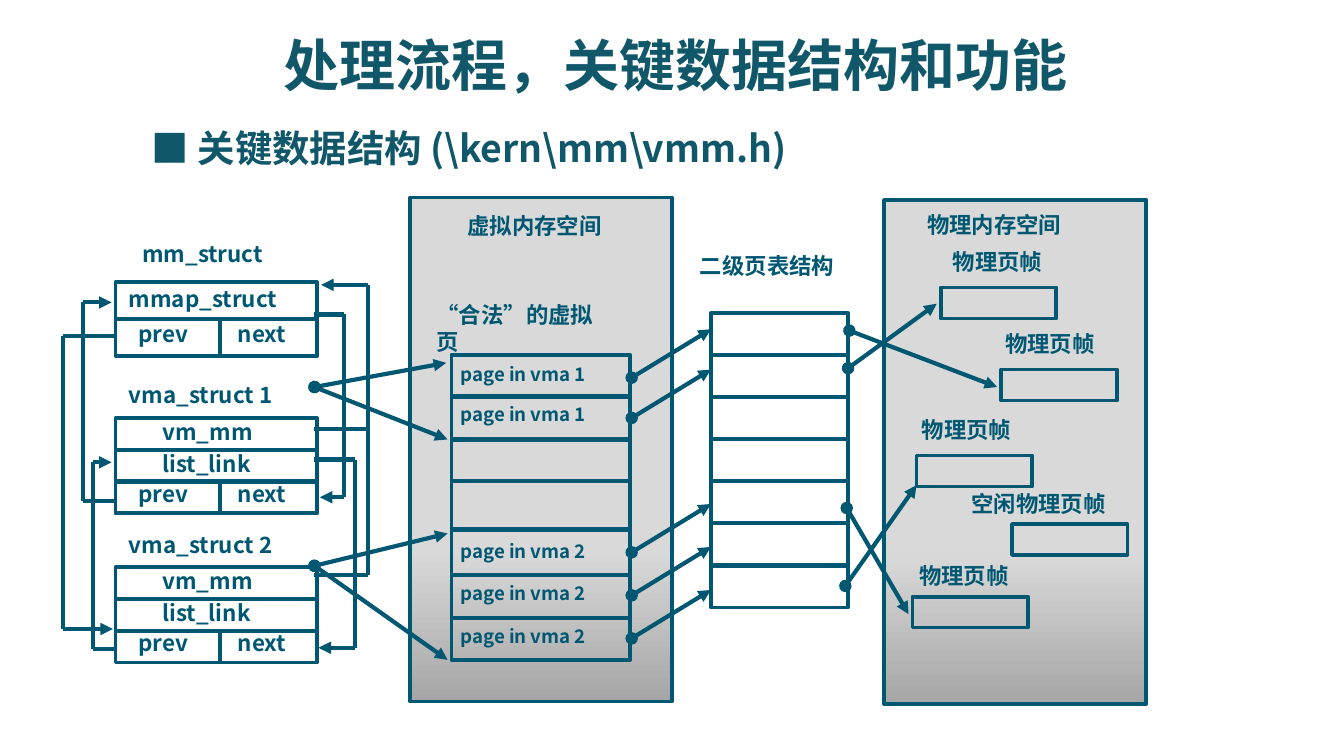
from lxml import etree
from pptx import Presentation
from pptx.dml.color import RGBColor
from pptx.enum.shapes import MSO_CONNECTOR, MSO_SHAPE
from pptx.enum.text import MSO_ANCHOR, MSO_AUTO_SIZE, PP_ALIGN
from pptx.oxml.ns import qn
from pptx.util import Inches, Pt

RECTANGLE = MSO_SHAPE.RECTANGLE
STRAIGHT = MSO_CONNECTOR.STRAIGHT
TOP, BOTTOM = MSO_ANCHOR.TOP, MSO_ANCHOR.BOTTOM
NO_AUTOFIT = MSO_AUTO_SIZE.NONE
LEFT, CENTER = PP_ALIGN.LEFT, PP_ALIGN.CENTER

TEAL = RGBColor(0x00, 0x57, 0x72)
HEADING = RGBColor(0x11, 0x57, 0x6A)
LIGHT_GREY = RGBColor(0xD9, 0xD9, 0xD9)
DARK_GREY = RGBColor(0xA6, 0xA6, 0xA6)
FONT, BULLET_FONT = "Noto Sans CJK SC", "Noto Sans CJK JP"


def add_text(para, text, size=12, color=TEAL, font=FONT):
    span = para.add_run()
    span.text = text
    span.font.size = Pt(size)
    span.font.bold = True
    span.font.color.rgb = color
    span.font.name = font
    etree.SubElement(span.font._element, qn("a:ea"), typeface=font)


def add_label(page, text, left, top, width, size=12):
    box = page.shapes.add_textbox(Inches(left), Inches(top), Inches(width), Inches(0.31))
    frame = box.text_frame
    frame.word_wrap = True
    frame.margin_right = 0
    add_text(frame.paragraphs[0], text, size=size)


def add_box(page, left, top, width, height, shaded=False):
    box = page.shapes.add_shape(RECTANGLE, Inches(left), Inches(top),
                                Inches(width), Inches(height))
    box.shadow.inherit = False
    box.line.color.rgb = TEAL
    box.line.width = Pt(2)
    if shaded:
        box.fill.gradient()
        box.fill.gradient_angle = 270
        for stop, position, color in zip(box.fill.gradient_stops, (0.7, 1),
                                         (LIGHT_GREY, DARK_GREY)):
            stop.position = position
            stop.color.rgb = color
    else:
        box.fill.background()


def add_line(page, start, end, dot=False, arrow=False):
    line = page.shapes.add_connector(STRAIGHT, *map(Inches, (*start, *end)))
    line.line.color.rgb = TEAL
    line.line.width = Pt(2.25)
    outline = line.line._get_or_add_ln()
    if dot:
        etree.SubElement(outline, qn("a:headEnd"), type="oval")
    if arrow:
        etree.SubElement(outline, qn("a:tailEnd"), type="triangle")
    etree.SubElement(line._element.spPr, qn("a:effectLst"))


def add_headings(page, left, top):
    title, body = page.shapes.title, page.placeholders[1]
    for holder, x, y, width, height, anchor, align in (
            (title, 0, 0, 8.7, 0.66, BOTTOM, CENTER),
            (body, 0.35, 0.76, 8.5, 0.47, TOP, LEFT)):
        holder.left, holder.top = Inches(left + x), Inches(top + y)
        holder.width, holder.height = Inches(width), Inches(height)
        holder.text_frame.auto_size = NO_AUTOFIT
        holder.text_frame.vertical_anchor = anchor
        holder.text_frame.paragraphs[0].alignment = align
    add_text(title.text_frame.paragraphs[0], "处理流程，关键数据结构和功能",
             size=30, color=HEADING)
    para = body.text_frame.paragraphs[0]
    para.space_before = Pt(0)
    properties = para._p.get_or_add_pPr()
    properties.set("marL", str(Inches(0.38)))
    properties.set("indent", str(-Inches(0.38)))
    etree.SubElement(properties, qn("a:buNone"))
    add_text(para, "■ ", size=20, color=HEADING, font=BULLET_FONT)
    add_text(para, "关键数据结构 (\\kern\\mm\\vmm.h)", size=20, color=HEADING)


def add_physical_memory(page, left, top):
    add_box(page, left, top, 1.95, 3.75, shaded=True)
    add_label(page, "物理内存空间", left + 0.22, top + 0.03, 1.2)
    # Frame position, then label position
    for x, y, label_x, label_y, text in (
            (0.42, 0.65, 0.41, 0.31, "物理页帧"),
            (0.87, 1.26, 0.8, 0.92, "物理页帧"),
            (0.24, 1.9, 0.18, 1.56, "物理页帧"),
            (0.95, 2.41, 0.55, 2.11, "空闲物理页帧"),
            (0.21, 2.95, 0.16, 2.64, "物理页帧")):
        add_box(page, left + x, top + y, 0.86, 0.23)
        add_label(page, text, left + label_x, top + label_y, 1.2)


def add_virtual_memory(page, left, top):
    add_box(page, left, top, 1.95, 3.75, shaded=True)
    add_label(page, "虚拟内存空间", left + 0.33, top + 0.06, 1.2)
    add_label(page, "“合法”的虚拟页", left + 0.1, top + 0.72, 1.4)
    add_box(page, left + 0.31, top + 1.17, 1.33, 2.27)
    for y in (1.48, 1.8, 2.11, 2.47, 2.81, 3.13):
        add_line(page, (left + 0.31, top + y), (left + 1.64, top + y))
    for y, area in ((1.18, 1), (1.48, 1), (2.5, 2), (2.81, 2), (3.13, 2)):
        add_label(page, f"page in vma {area}", left + 0.28, top + y, 1.27, size=10)


def add_page_table(page, left, top, rows=7):
    width, height = 1.02, 2.19
    add_label(page, "二级页表结构", left - 0.18, top - 0.5, 1.2)
    add_box(page, left, top, width, height)
    for row in range(1, rows):
        y = top + row * height / rows
        add_line(page, (left, y), (left + width, y))


def add_struct(page, left, top, height, name, fields, name_x=0, name_rise=0.32,
               field_x=0.25, text_rise=0.05):
    width, split = 1.5, 0.78
    step = height / (len(fields) + 1)
    add_label(page, name, left + name_x, top - name_rise, 1.44)
    add_box(page, left, top, width, height)
    for row, field in enumerate(fields):
        y = top + (row + 1) * step
        add_line(page, (left, y), (left + width, y))
        add_label(page, field, left + field_x, y - step - text_rise, 1.42)
    last = top + height - step
    add_line(page, (left + split, last), (left + split, top + height))
    for text, x in (("prev", 0.07), ("next", 0.81)):
        add_label(page, text, left + x, last - text_rise - 0.01, 0.65)


def add_struct_list(page, left, top):
    add_struct(page, left, top, 0.55, "mm_struct", ["mmap_struct"],
               name_x=0.1, name_rise=0.36, field_x=0, text_rise=0.03)
    for number, y in ((1, 1.01), (2, 2.12)):
        add_struct(page, left, top + y, 0.71, f"vma_struct {number}",
                   ["vm_mm", "list_link"])
    # Bent links: start x, lane x, end x, start y, end y
    for start_x, lane, end_x, start_y, end_y in (
            (1.48, 1.7, 1.52, 0.24, 1.6),
            (1.48, 1.78, 1.51, 1.32, 2.72),
            (0, -0.39, -0.02, 0.4, 2.58),
            (-0.01, -0.24, -0.03, 1.63, 0.15),
            (-0.01, -0.17, -0.03, 2.73, 1.34),
            (1.48, 1.88, 1.53, 2.18, 0.02)):
        start, end = (left + start_x, top + start_y), (left + end_x, top + end_y)
        upper, lower = (left + lane, start[1]), (left + lane, end[1])
        add_line(page, start, upper)
        add_line(page, upper, lower)
        add_line(page, lower, end, arrow=True)
    # First vm_mm joins the shared lane
    add_line(page, (left + 1.48, top + 1.09), (left + 1.88, top + 1.09))


def add_mappings(page):
    for start, end in (
            # Areas to virtual pages
            ((2.34, 2.88), (3.32, 2.7)), ((2.34, 2.88), (3.33, 3.27)),
            ((2.34, 4.21), (3.33, 3.97)), ((2.34, 4.21), (3.33, 4.91)),
            # Page table to physical frames
            ((6.31, 2.74), (6.97, 2.26)), ((6.32, 2.46), (7.42, 2.88)),
            ((6.29, 4.36), (6.82, 3.61)), ((6.3, 3.78), (6.76, 4.57))):
        add_line(page, start, end, dot=True, arrow=True)
    # Virtual pages to page table
    for y in (2.81, 3.11, 4.11, 4.43, 4.75):
        add_line(page, (4.7, y), (5.29, y - 0.36), dot=True, arrow=True)


def main():
    deck = Presentation()
    deck.slide_width = Inches(10)
    deck.slide_height = deck.slide_width * 9 // 16
    page = deck.slides.add_slide(deck.slide_layouts[1])
    add_headings(page, 0.68, 0.12)
    add_physical_memory(page, 6.58, 1.49)
    add_virtual_memory(page, 3.05, 1.47)
    add_page_table(page, 5.29, 2.33)
    add_struct_list(page, 0.86, 2.1)
    add_mappings(page)
    deck.save("out.pptx")


if __name__ == "__main__":
    main()
